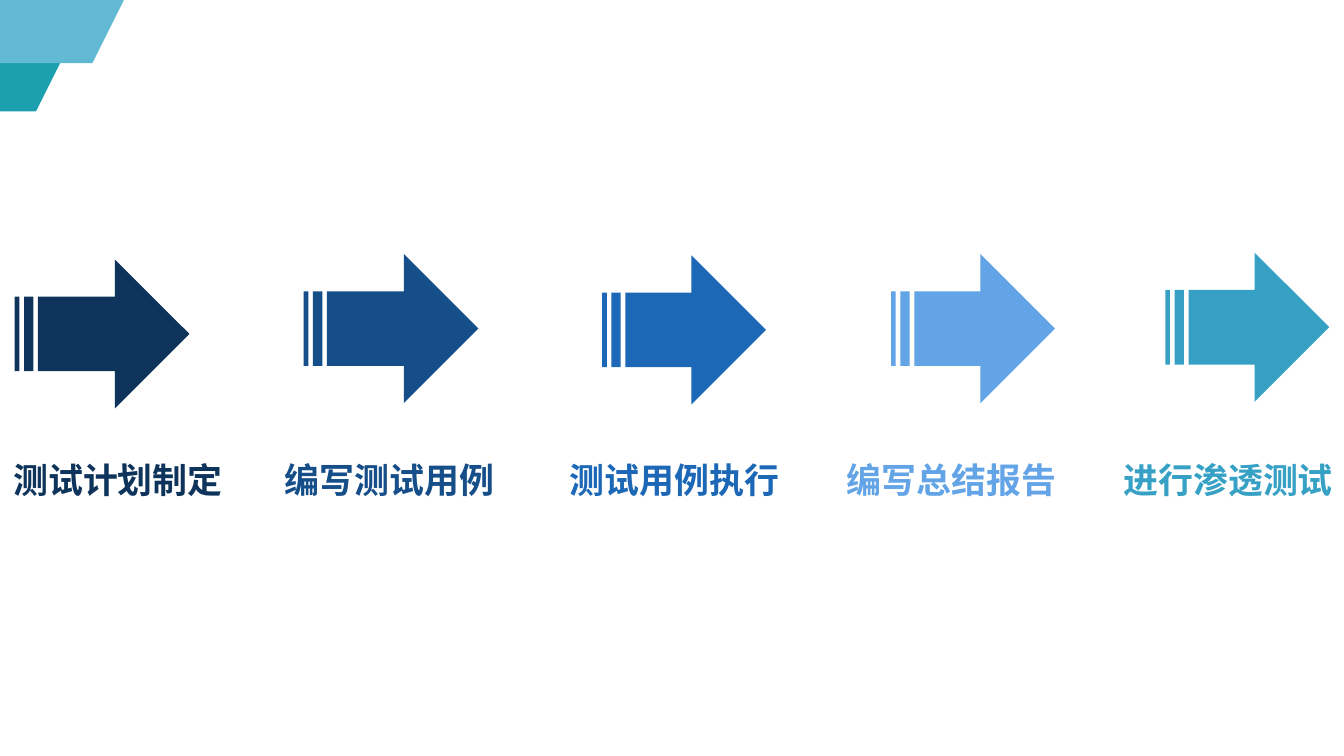
from typing import NamedTuple

from pptx import Presentation
from pptx.dml.color import RGBColor
from pptx.enum.shapes import MSO_SHAPE
from pptx.enum.text import MSO_AUTO_SIZE
from pptx.util import Inches, Pt

WIDTH = 10
HEIGHT = WIDTH * 9 / 16
ARROW_H = 1.11
LABEL_TOP, LABEL_W, LABEL_H = 3.21, 1.77, 0.52
HEX_W, HEX_H = 1.59, 0.93


class Box(NamedTuple):
    left: float
    top: float
    width: float
    height: float

    def emu(self) -> list:
        return [Inches(v) for v in self]


class Step(NamedTuple):
    label: str
    color: str
    text_x: float
    left: float
    top: float
    width: float


STEPS = [
    Step("测试计划制定", "0E345B", 0, 0.11, 1.93, 1.3),
    Step("编写测试用例", "154E88", 2.02, 2.26, 1.89, 1.3),
    Step("测试用例执行", "1C68B6", 4.14, 4.48, 1.9, 1.22),
    Step("编写总结报告", "63A4E7", 6.2, 6.63, 1.89, 1.22),
    Step("进行渗透测试", "36A1C4", 8.26, 8.67, 1.88, 1.22),
]
CORNER = [("1CA0AF", -1.09, -0.1), ("61B9D2", -0.67, -0.46)]


def rgb(code: str) -> RGBColor:
    return RGBColor.from_string(code)


def add_solid(slide, kind: MSO_SHAPE, box: Box, color: str) -> None:
    shape = slide.shapes.add_shape(kind, *box.emu())
    shape.shadow.inherit = False
    shape.fill.solid()
    shape.fill.fore_color.rgb = rgb(color)
    shape.line.fill.background()


def add_label(slide, text: str, box: Box, color: str) -> None:
    frame = slide.shapes.add_textbox(*box.emu()).text_frame
    frame.word_wrap = False
    frame.auto_size = MSO_AUTO_SIZE.SHAPE_TO_FIT_TEXT
    para = frame.paragraphs[0]
    para.text = text
    para.line_spacing = 1.5
    font = para.font
    font.name, font.size, font.bold = "Arial Narrow", Pt(18.7), True
    font.color.rgb = rgb(color)


def main() -> None:
    deck = Presentation()
    deck.slide_width, deck.slide_height = Inches(WIDTH), Inches(HEIGHT)
    slide = deck.slides.add_slide(deck.slide_layouts[6])
    fill = slide.background.fill
    fill.solid()
    fill.fore_color.rgb = rgb("FFFFFF")

    for step in STEPS:
        arrow = Box(step.left, step.top, step.width, ARROW_H)
        add_solid(slide, MSO_SHAPE.STRIPED_RIGHT_ARROW, arrow, step.color)
        label = Box(step.text_x, LABEL_TOP, LABEL_W, LABEL_H)
        add_label(slide, step.label, label, step.color)
    for color, left, top in CORNER:
        add_solid(slide, MSO_SHAPE.HEXAGON, Box(left, top, HEX_W, HEX_H), color)

    deck.save("out.pptx")


if __name__ == "__main__":
    main()
